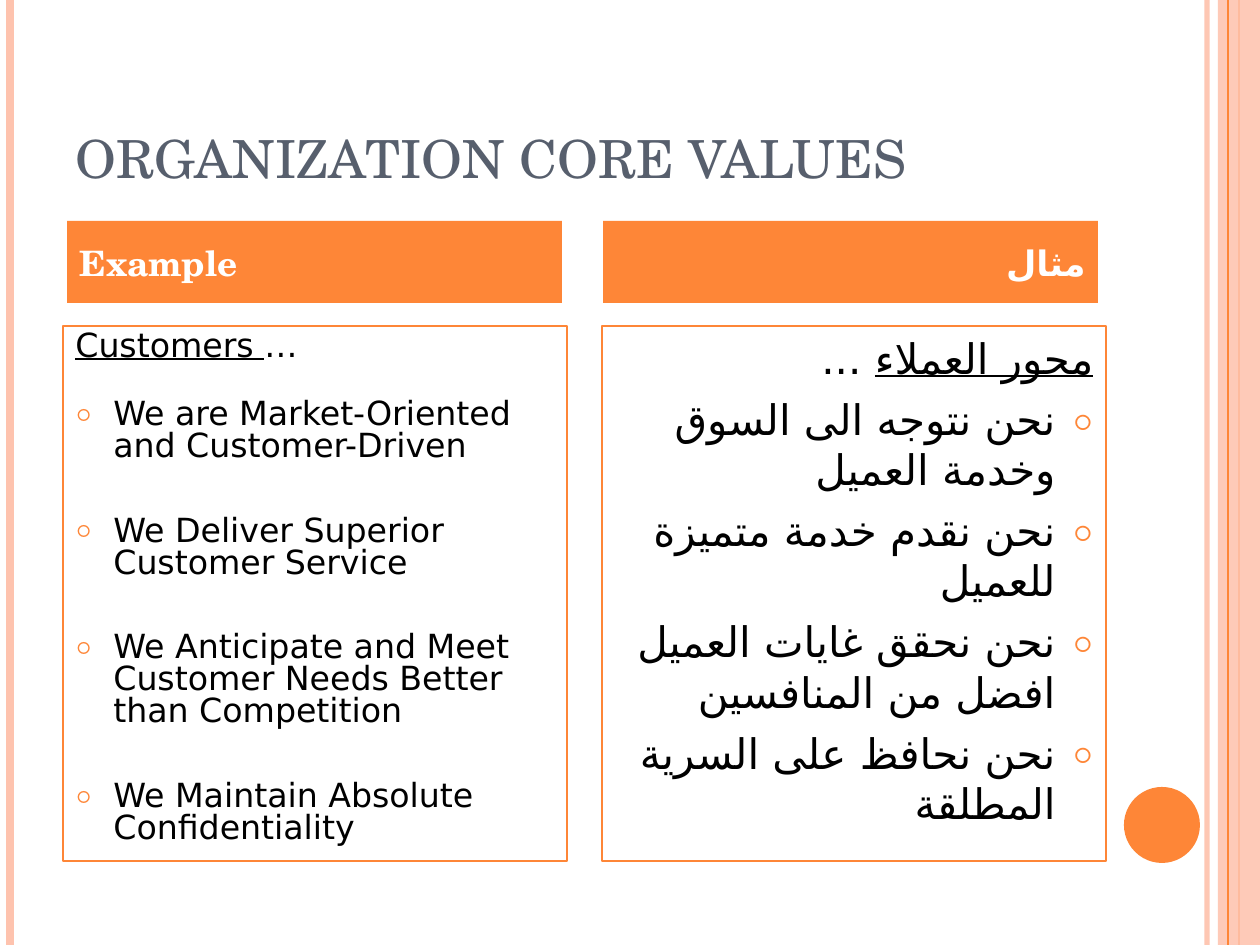
from lxml.etree import SubElement
from pptx import Presentation
from pptx.dml.color import RGBColor
from pptx.enum.shapes import MSO_CONNECTOR, MSO_SHAPE
from pptx.enum.text import MSO_ANCHOR, PP_ALIGN
from pptx.oxml.ns import qn
from pptx.util import Pt

SCALE = 914400 / 126
COLORS = {"orange": "FE8637", "peach": "FEC3AE", "slate": "575F6D",
          "black": "000000", "white": "FFFFFF"}
SERIF, SANS = "TeX Gyre Schola", "DejaVu Sans"

ENGLISH = ["We are Market-Oriented and Customer-Driven",
           "We Deliver Superior Customer Service",
           "We Anticipate and Meet Customer Needs Better than Competition",
           "We Maintain Absolute Confidentiality"]
ARABIC = ["نحن نتوجه الى السوق وخدمة العميل",
          "نحن نقدم خدمة متميزة للعميل",
          "نحن نحقق غايات العميل افضل من المنافسين",
          "نحن نحافظ على السرية المطلقة"]


def px(n):
    return round(n * SCALE)


def rgb(name):
    return RGBColor.from_string(COLORS[name])


def fade(fill, share):
    color = fill._xPr.find(qn("a:solidFill"))[0]
    SubElement(color, qn("a:alpha"), val=str(share * 1000))


def add_line(slide, x, height, color, width, share=100):
    line = slide.shapes.add_connector(MSO_CONNECTOR.STRAIGHT, px(x), 0, px(x), px(height))
    line.line.color.rgb = rgb(color)
    line.line.width = Pt(width)
    SubElement(line._element.spPr, qn("a:effectLst"))
    if share < 100:
        fade(line.line.fill, share)


def add_box(slide, kind, box, fill=None, edge=None):
    shape = slide.shapes.add_shape(kind, *map(px, box))
    shape.shadow.inherit = False
    if fill:
        shape.fill.solid()
        shape.fill.fore_color.rgb = rgb(fill)
    else:
        shape.fill.background()
    if edge:
        shape.line.color.rgb = rgb(edge)
        shape.line.width = Pt(0.75)
    else:
        shape.line.fill.background()
    return shape


def style(para, font, size, color, bold=False):
    for run in para.runs:
        run.font.name = font
        run.font.size = Pt(size)
        run.font.bold = bold
        run.font.color.rgb = rgb(color)
        SubElement(run.font._element, qn("a:cs"), typeface=SANS)


def align(para, rtl):
    para.alignment = PP_ALIGN.RIGHT if rtl else PP_ALIGN.LEFT
    if rtl:
        para._p.get_or_add_pPr().set("rtl", "1")


def indent(para, bullet):
    props = para._p.get_or_add_pPr()
    props.set("marL", str(px(38)))
    props.set("indent", str(px(-38)))
    if bullet:
        SubElement(SubElement(props, qn("a:buClr")), qn("a:srgbClr"), val=COLORS["orange"])
        SubElement(props, qn("a:buSzPct"), val="70000")
        SubElement(props, qn("a:buFont"), typeface=SERIF)
        SubElement(props, qn("a:buChar"), char="○")
    else:
        SubElement(props, qn("a:buNone"))


def add_frame(slide, box):
    left, top, width, height = box
    right = left + width
    add_line(slide, right - 53, height, "peach", 3, 93)
    add_line(slide, left + 10, height, "peach", 4.5)
    add_line(slide, right - 21, height, "orange", 1.5)
    band = add_box(slide, MSO_SHAPE.RECTANGLE, (right - 42, top, 42, height), "peach")
    fade(band.fill, 87)
    add_line(slide, right - 32, height, "orange", 0.75)
    add_box(slide, MSO_SHAPE.OVAL, (right - 136, top + 787, 76, 76), "orange")


def add_title(slide, box, text):
    title = slide.shapes.title
    title.left, title.top, title.width, title.height = map(px, box)
    frame = title.text_frame
    frame.text = text
    frame.vertical_anchor = MSO_ANCHOR.BOTTOM
    align(frame.paragraphs[0], False)
    style(frame.paragraphs[0], SERIF, 30, "slate")


def add_head(slide, box, text, rtl):
    shape = add_box(slide, MSO_SHAPE.RECTANGLE, box, "orange")
    frame = shape.text_frame
    frame.text = text
    frame.vertical_anchor = MSO_ANCHOR.MIDDLE
    align(frame.paragraphs[0], rtl)
    style(frame.paragraphs[0], SERIF, 20, "white", True)


def add_list(slide, box, lead, items, font, size, rtl, gaps, pitch):
    shape = add_box(slide, MSO_SHAPE.RECTANGLE, box, edge="orange")
    frame = shape.text_frame
    frame.word_wrap = True
    frame.vertical_anchor = MSO_ANCHOR.TOP
    first = frame.paragraphs[0]
    for text, under in zip(lead, (True, False)):
        run = first.add_run()
        run.text = text
        run.font.underline = under
    for item in items:
        frame.add_paragraph().text = item
    for i, para in enumerate(frame.paragraphs):
        indent(para, i > 0)
        align(para, rtl)
        para.line_spacing = pitch
        if i:
            para.space_before = Pt(gaps[0] if i == 1 else gaps[1])
        style(para, font, size, "black")


def main():
    deck = Presentation()
    deck.slide_width, deck.slide_height = px(1260), px(945)
    slide = deck.slides.add_slide(deck.slide_layouts[5])
    add_frame(slide, (0, 0, 1260, 945))
    add_title(slide, (63, 38, 1040, 157), "ORGANIZATION CORE VALUES")
    add_list(slide, (63, 326, 504, 535), ("Customers ", "…"), ENGLISH,
             SANS, 19, False, (20.4, 30.3), 0.8)
    add_list(slide, (602, 326, 504, 535), ("محور العملاء", " ..."), ARABIC,
             SERIF, 24, True, (6, 6), 1.0)
    add_head(slide, (67, 221, 495, 82), "Example", False)
    add_head(slide, (603, 221, 495, 82), "مثال", True)
    deck.save("out.pptx")


if __name__ == "__main__":
    main()
